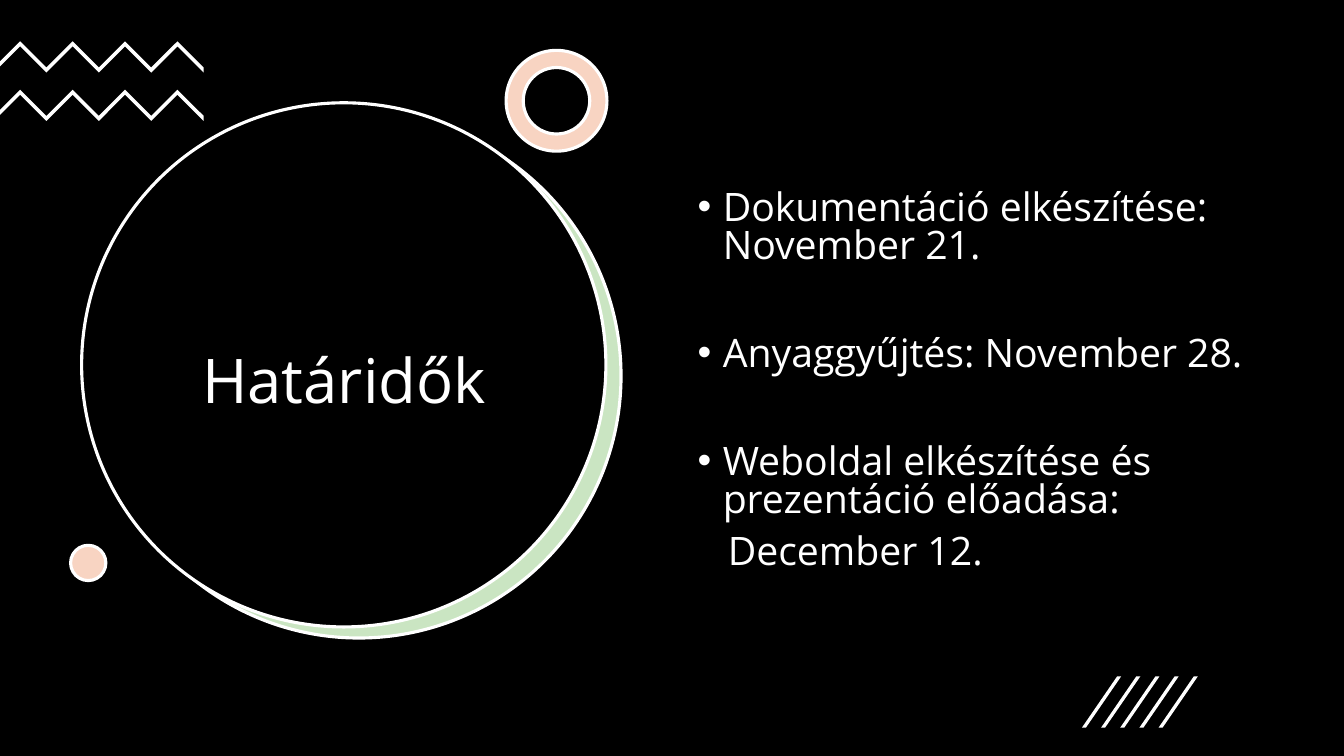
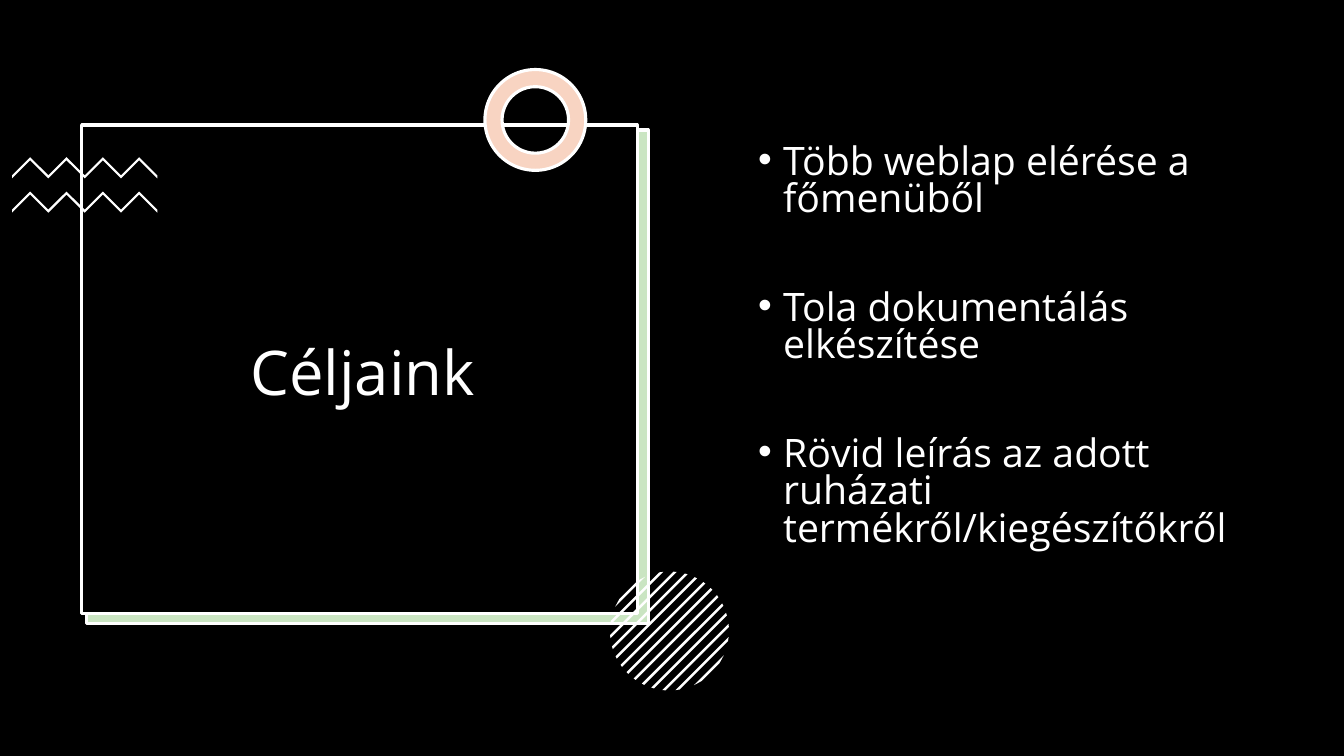
from math import sqrt

from lxml import etree
from pptx import Presentation
from pptx.dml.color import RGBColor
from pptx.enum.shapes import MSO_SHAPE as Preset
from pptx.enum.text import MSO_ANCHOR as Anchor, MSO_AUTO_SIZE as AutoSize, PP_ALIGN as Align
from pptx.oxml.ns import qn
from pptx.util import Inches, Pt

COLORS = {"black": "000000", "white": "FFFFFF", "green": "CAE5C2", "peach": "F8D4C2"}
FONT = "Open Sans"
LINE_WIDTH = 2.25
BULLET_INDENT = 0.25
NOTE_INDENT = 0.3
ITEM_GAP = 50.5
NOTE_GAP = 10

# Each frame is (preset, colour, left, top, width, height), from back to front.
# Each item is (text, has bullet).
DEADLINES = {
    "title": "Határidők",
    "title_box": (1.21, 2.05, 4.41, 3.52),
    "frames": [
        (Preset.OVAL, "green", 0.96, 1.13, 5.2, 5.2),
        (Preset.OVAL, "black", 0.81, 1.02, 5.2, 5.2),
        (Preset.OVAL, "peach", 0.7, 5.41, 0.35, 0.35),
    ],
    "ring": (5.02, 0.5),
    "zigzags": {"left": 0, "tops": (0.41, 0.89), "lead": 0.2, "step": 0.26, "thickness": 0.05},
    "list_box": (6.82, 1.85, 5.71, 4.16),
    "items": [
        ("Dokumentáció elkészítése: November 21.", True),
        ("Anyaggyűjtés: November 28.", True),
        ("Weboldal elkészítése és prezentáció előadása:", True),
        ("December 12.", False),
    ],
}
GOALS = {
    "title": "Céljaink",
    "title_box": (0.92, 1.52, 5.36, 4.42),
    "frames": [
        (Preset.RECTANGLE, "green", 0.86, 1.29, 5.57, 4.9),
        (Preset.RECTANGLE, "black", 0.81, 1.24, 5.51, 4.85),
    ],
    "ring": (4.81, 0.69),
    "zigzags": {"left": 0.12, "tops": (1.56, 1.9), "lead": 0.18, "step": 0.18, "thickness": 0.03},
    "list_box": (7.42, 1.39, 5.44, 4.76),
    "items": [
        ("Több weblap elérése a főmenüből", True),
        ("Tola dokumentálás elkészítése", True),
        ("Rövid leírás az adott ruházati termékről/kiegészítőkről", True),
    ],
}


def color(name):
    return RGBColor.from_string(COLORS[name])


def paint(shape, fill, outlined=False):
    shape.shadow.inherit = False
    shape.fill.solid()
    shape.fill.fore_color.rgb = color(fill)
    if outlined:
        shape.line.color.rgb = color("white")
        shape.line.width = Pt(LINE_WIDTH)
    else:
        shape.line.fill.background()


def add_preset(page, preset, fill, *box):
    shape = page.shapes.add_shape(preset, *map(Inches, box))
    paint(shape, fill, outlined=True)
    return shape


def add_polygon(page, points):
    first, *rest = [(Inches(x), Inches(y)) for x, y in points]
    builder = page.shapes.build_freeform(*first)
    builder.add_line_segments(rest, close=True)
    paint(builder.convert_to_shape(), "white")


def add_ring(page, left, top):
    ring = add_preset(page, Preset.DONUT, "peach", left, top, 1, 1)
    ring.adjustments[0] = 0.17


def add_zigzags(page, left, tops, lead, step, thickness):
    """Draw waves whose first rising stroke is `lead` wide, the others `step`."""
    for top in tops:
        edge = [(left, top + lead)]
        edge += [(left + lead + i * step, top + i % 2 * step) for i in range(8)]
        lower = [(x, y + thickness) for x, y in reversed(edge)]
        add_polygon(page, edge + lower)


def add_slashes(page, left=10.73, top=6.71, pitch=0.19, width=0.04, lean=0.35, height=0.51):
    for i in range(5):
        x = left + i * pitch
        add_polygon(page, [(x, top + height), (x + lean, top),
                           (x + lean + width, top), (x + width, top + height)])


def add_hatched_disc(page, center_x=6.64, center_y=6.26, radius=0.59, pitch=0.094, width=0.025):
    """Fill a circle with 45-degree stripes, each one cut by the circle."""
    def chord(distance):
        half = sqrt(radius ** 2 - distance ** 2)
        return [(center_x + (distance + sign * half) / sqrt(2),
                 center_y + (distance - sign * half) / sqrt(2)) for sign in (-1, 1)]

    for i in range(-6, 7):
        start, end = chord(i * pitch - width / 2), chord(i * pitch + width / 2)
        add_polygon(page, start + end[::-1])


def style_font(para, size):
    para.font.name = FONT
    para.font.size = Pt(size)
    para.font.bold = False
    para.font.color.rgb = color("white")


def set_title(page, text, box):
    title = page.shapes.title
    title.left, title.top, title.width, title.height = map(Inches, box)
    title.element.getparent().append(title.element)  # in front of the frames
    frame = title.text_frame
    frame.text = text
    frame.auto_size = AutoSize.NONE
    frame.vertical_anchor = Anchor.MIDDLE
    para = frame.paragraphs[0]
    para.alignment = Align.CENTER
    para.line_spacing = 0.9
    style_font(para, 44)


def indent(para, bulleted):
    props = para._p.get_or_add_pPr()
    props.set("marL", str(Inches(BULLET_INDENT if bulleted else NOTE_INDENT)))
    if bulleted:
        props.set("indent", str(-Inches(BULLET_INDENT)))
        etree.SubElement(props, qn("a:buFont")).set("typeface", "Arial")
        etree.SubElement(props, qn("a:buChar")).set("char", "•")


def add_list(page, items, box):
    frame = page.shapes.add_textbox(*map(Inches, box)).text_frame
    frame.word_wrap = True
    for i, (text, bulleted) in enumerate(items):
        para = frame.add_paragraph() if i else frame.paragraphs[0]
        para.text = text
        para.line_spacing = 0.8
        if i:
            para.space_before = Pt(ITEM_GAP if bulleted else NOTE_GAP)
        style_font(para, 28)
        indent(para, bulleted)


def add_page(deck, content, add_decoration):
    page = deck.slides.add_slide(deck.slide_layouts.get_by_name("Title Only"))
    for frame in content["frames"]:
        add_preset(page, *frame)
    add_zigzags(page, **content["zigzags"])
    add_ring(page, *content["ring"])
    add_decoration(page)
    set_title(page, content["title"], content["title_box"])
    add_list(page, content["items"], content["list_box"])


def main():
    deck = Presentation()
    deck.slide_width, deck.slide_height = Inches(13.33), Inches(7.5)
    background = deck.slide_master.background.fill
    background.solid()
    background.fore_color.rgb = color("black")
    add_page(deck, DEADLINES, add_slashes)
    add_page(deck, GOALS, add_hatched_disc)
    deck.save("out.pptx")


if __name__ == "__main__":
    main()
